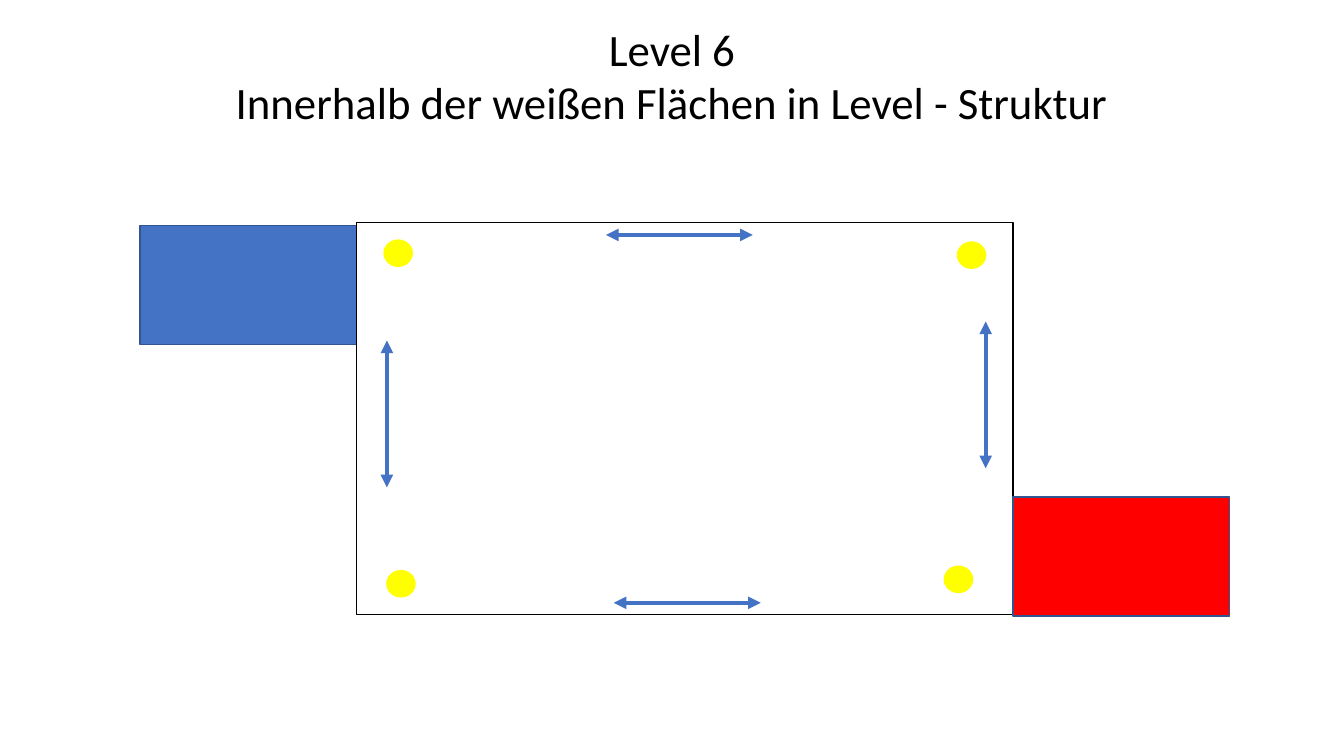
from dataclasses import dataclass

import pptx
import pptx.dml.color
import pptx.enum.shapes
import pptx.enum.text
import pptx.oxml
import pptx.oxml.ns
import pptx.shapes.base
import pptx.slide
import pptx.text.text
import pptx.util

Cm = pptx.util.Cm
Pt = pptx.util.Pt
Preset = pptx.enum.shapes.MSO_SHAPE

COLOURS = {
    "black": "000000",
    "white": "FFFFFF",
    "blue": "4472C4",
    "dark blue": "325491",
    "red": "FF0000",
    "yellow": "FFFF00",
}
ARROW_LENGTH = 3.7


@dataclass(frozen=True)
class Area:
    left: float
    top: float
    width: float
    height: float
    fill: str
    line: str
    preset: Preset = Preset.RECTANGLE


@dataclass(frozen=True)
class DoubleArrow:
    left: float
    top: float
    vertical: bool = False


ROOMS = [
    Area(3.53, 5.69, 5.46, 3, "blue", "dark blue"),
    Area(8.99, 5.61, 16.54, 9.88, "white", "black"),
    Area(25.53, 12.52, 5.46, 3, "red", "dark blue"),
]
COINS = [
    Area(left, top, 0.71, 0.66, "yellow", "yellow", Preset.OVAL)
    for left, top in [(9.75, 14.38), (23.8, 14.27), (9.68, 6.05), (24.13, 6.1)]
]
ARROWS = [
    DoubleArrow(15.47, 15.19),
    DoubleArrow(15.27, 5.92),
    DoubleArrow(9.75, 8.58, vertical=True),
    DoubleArrow(24.84, 8.1, vertical=True),
]


def colour(name: str) -> pptx.dml.color.RGBColor:
    return pptx.dml.color.RGBColor.from_string(COLOURS[name])


def write_text(frame: pptx.text.text.TextFrame, lines: list[str], *,
               size: float, font: str, color: str,
               align: pptx.enum.text.PP_ALIGN) -> None:
    """Fill the frame with one paragraph per line."""
    for index, line in enumerate(lines):
        paragraph = frame.add_paragraph() if index else frame.paragraphs[0]
        paragraph.alignment = align
        run = paragraph.add_run()
        run.text = line
        run.font.size = Pt(size)
        run.font.name = font
        run.font.color.rgb = colour(color)


def add_title(slide: pptx.slide.Slide, lines: list[str]) -> None:
    title = slide.shapes.title
    title.left, title.top = Cm(0), Cm(0.41)
    title.width, title.height = Cm(33.87), Cm(3)
    frame = title.text_frame
    frame.word_wrap = True
    frame.auto_size = pptx.enum.text.MSO_AUTO_SIZE.NONE
    frame.vertical_anchor = pptx.enum.text.MSO_ANCHOR.TOP
    write_text(frame, lines, size=32, font="Calibri", color="black",
               align=pptx.enum.text.PP_ALIGN.CENTER)


def add_area(slide: pptx.slide.Slide, area: Area) -> None:
    shape = slide.shapes.add_shape(area.preset, Cm(area.left), Cm(area.top),
                                   Cm(area.width), Cm(area.height))
    shape.shadow.inherit = False
    shape.fill.solid()
    shape.fill.fore_color.rgb = colour(area.fill)
    shape.line.color.rgb = colour(area.line)
    shape.line.width = Pt(1)


def add_double_arrow(slide: pptx.slide.Slide, arrow: DoubleArrow) -> None:
    right = arrow.left + (0 if arrow.vertical else ARROW_LENGTH)
    bottom = arrow.top + (ARROW_LENGTH if arrow.vertical else 0)
    connector = slide.shapes.add_connector(
        pptx.enum.shapes.MSO_CONNECTOR.STRAIGHT,
        Cm(arrow.left), Cm(arrow.top), Cm(right), Cm(bottom))
    connector.line.color.rgb = colour("blue")
    connector.line.width = Pt(3)
    line = connector.line._get_or_add_ln()
    for end in ("a:headEnd", "a:tailEnd"):
        line.append(pptx.oxml.parse_xml(
            f'<{end} {pptx.oxml.ns.nsdecls("a")} type="triangle"/>'))
    connector._element.spPr.append(pptx.oxml.parse_xml(
        f'<a:effectLst {pptx.oxml.ns.nsdecls("a")}/>'))


def main() -> None:
    presentation = pptx.Presentation()
    presentation.slide_width = Cm(33.87)
    presentation.slide_height = Cm(19.05)
    slide = presentation.slides.add_slide(presentation.slide_layouts[5])
    add_title(slide, ["Level 6", "Innerhalb der weißen Flächen in Level - Struktur"])
    for area in ROOMS + COINS:
        add_area(slide, area)
    for arrow in ARROWS:
        add_double_arrow(slide, arrow)
    presentation.save("out.pptx")


if __name__ == "__main__":
    main()
